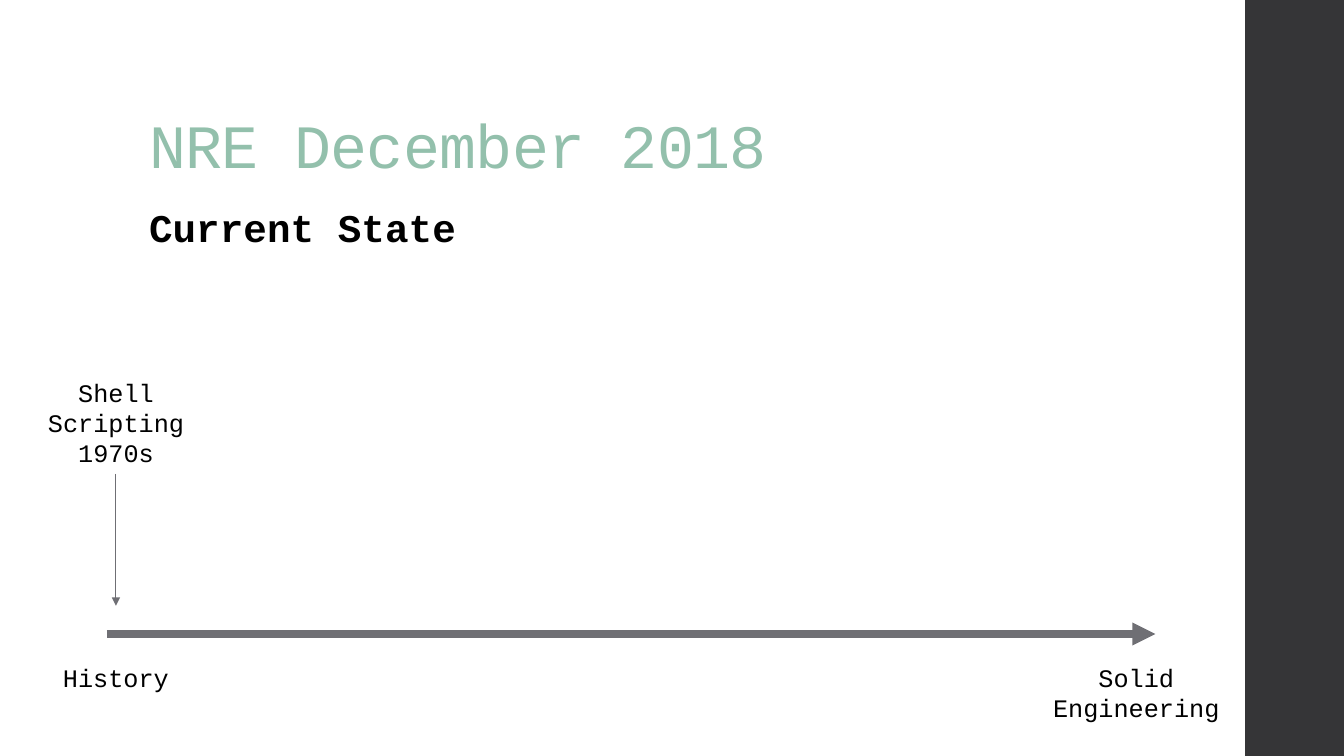
from dataclasses import dataclass

from lxml.etree import SubElement
from pptx import Presentation
from pptx.dml.color import RGBColor as RGB
from pptx.enum.shapes import MSO_CONNECTOR as Connector, MSO_SHAPE as Shape
from pptx.enum.text import MSO_ANCHOR as Anchor, MSO_AUTO_SIZE as AutoSize, PP_ALIGN as Align
from pptx.oxml.ns import qn
from pptx.util import Inches, Pt


@dataclass(frozen=True)
class Theme:
    font: str = "Courier New"
    accent: RGB = RGB(0x93, 0xC0, 0xAC)
    text: RGB = RGB(0, 0, 0)
    line: RGB = RGB(0x6F, 0x6F, 0x74)
    band: RGB = RGB(0x35, 0x35, 0x37)
    title_size: int = 44
    subtitle_size: int = 28
    label_size: int = 18


THEME = Theme()
WIDTH, HEIGHT = 13.33, 7.5
BAND_LEFT = 12.35
HEAD_LEFT = 1.38
START_X, END_X = 1.15, 11.27
AXIS_Y, LABEL_Y = 6.29, 6.52
EVENT_TOP, EVENT_BOTTOM = 3.69, 4.7


def write(tf, lines, size, color=THEME.text, bold=False, align=Align.LEFT,
          line_spacing=1.0, tracking=0):
    """Fill a text frame, one paragraph a line; tracking is in points."""
    for name, value in {"word_wrap": True, "auto_size": AutoSize.NONE}.items():
        setattr(tf, name, value)
    font = {"name": THEME.font, "size": Pt(size), "bold": bold}
    for i, line in enumerate(lines):
        p = tf.paragraphs[0] if i == 0 else tf.add_paragraph()
        p.alignment, p.line_spacing = align, line_spacing
        r = p.add_run()
        r.text = line
        for name, value in font.items():
            setattr(r.font, name, value)
        r.font.color.rgb = color
        if tracking:
            r._r.get_or_add_rPr().set("spc", str(int(tracking * 100)))


def add_title(s, text):
    sp = s.shapes.title
    place = {"left": HEAD_LEFT, "top": 0.4, "width": 10.6, "height": 1.45}
    for name, value in place.items():
        setattr(sp, name, Inches(value))
    write(sp.text_frame, [text], THEME.title_size, THEME.accent,
          line_spacing=0.9, tracking=-0.5)
    sp.text_frame.vertical_anchor = Anchor.BOTTOM


def add_text(s, left, top, width, height, lines, size, **style):
    sp = s.shapes.add_textbox(*map(Inches, (left, top, width, height)))
    write(sp.text_frame, lines, size, **style)


def add_label(s, center, top, width, height, *lines):
    add_text(s, center - width / 2, top, width, height, lines,
             THEME.label_size, align=Align.CENTER)


def add_arrow(s, start, end, weight):
    c = s.shapes.add_connector(Connector.STRAIGHT, *map(Inches, start + end))
    c.line.color.rgb = THEME.line
    c.line.width = Pt(weight)
    SubElement(c.line._get_or_add_ln(), qn("a:tailEnd"), type="triangle")
    SubElement(c._element.spPr, qn("a:effectLst"))


def add_band(s):
    sp = s.shapes.add_shape(Shape.RECTANGLE, Inches(BAND_LEFT), 0, Inches(1), Inches(HEIGHT))
    sp.shadow.inherit = False
    sp.fill.solid()
    sp.fill.fore_color.rgb = THEME.band
    sp.line.fill.background()


def main():
    prs = Presentation()
    prs.slide_width, prs.slide_height = Inches(WIDTH), Inches(HEIGHT)
    s = prs.slides.add_slide(prs.slide_layouts.get_by_name("Title Only"))
    add_band(s)
    add_title(s, "NRE December 2018")
    add_text(s, HEAD_LEFT, 2, 9.4, 0.74, ["Current State"], THEME.subtitle_size,
             bold=True, line_spacing=0.95, tracking=0.1)
    add_arrow(s, (1.06, AXIS_Y), (11.46, AXIS_Y), 5.5)
    add_arrow(s, (START_X, EVENT_BOTTOM), (START_X, 6.01), 0.75)
    add_label(s, START_X, EVENT_TOP, 1.69, EVENT_BOTTOM - EVENT_TOP,
              "Shell", "Scripting", "1970s")
    add_label(s, END_X, LABEL_Y, 2.32, 0.71, "Solid Engineering")
    add_label(s, START_X, LABEL_Y, 2.3, 0.4, "History")
    prs.save("out.pptx")


if __name__ == "__main__":
    main()
